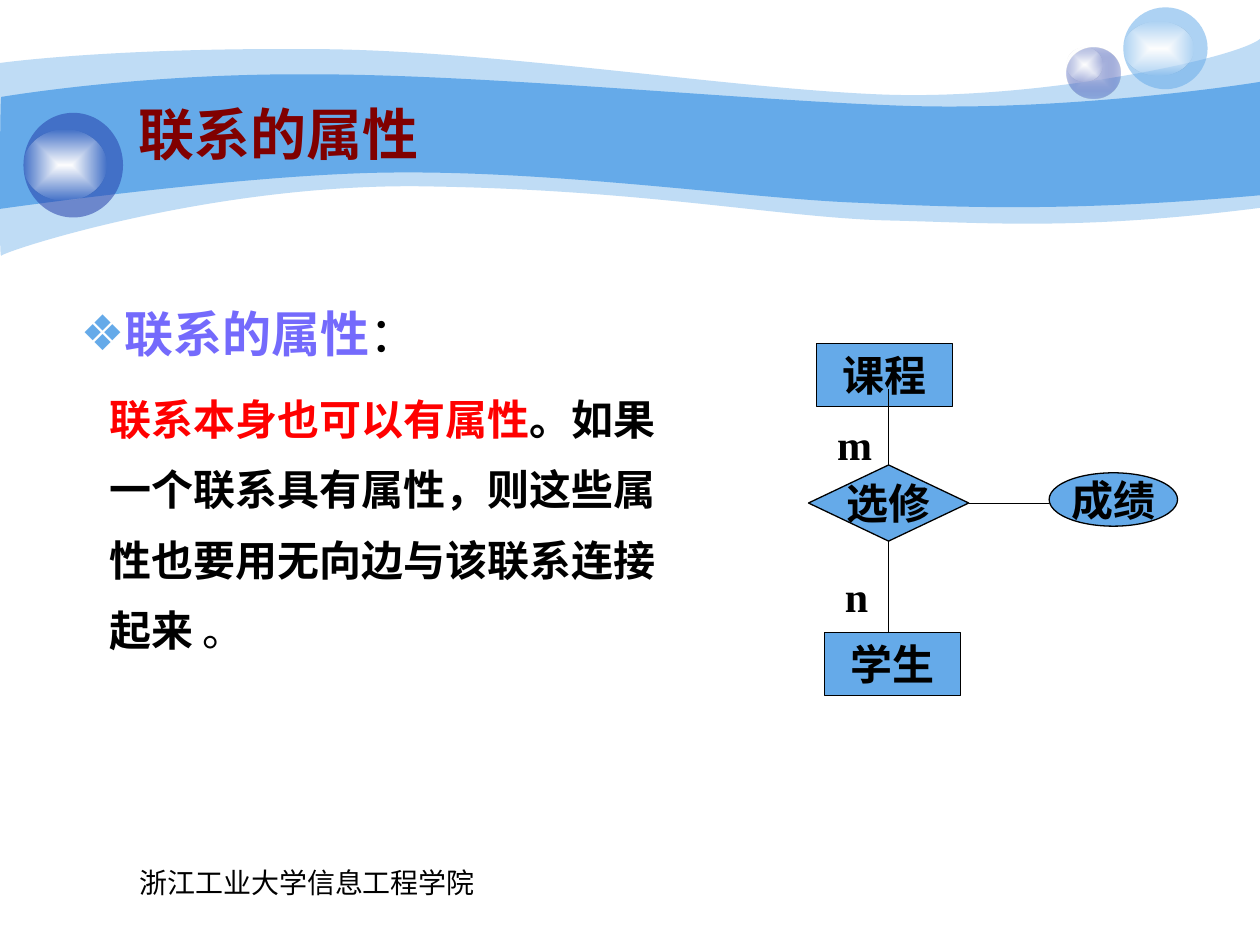
import pptx
import pptx.util
import pptx.dml.color
import pptx.enum.shapes
import pptx.enum.text
import pptx.oxml
import pptx.oxml.ns
import lxml.etree

Pt = pptx.util.Pt
Kind = pptx.enum.shapes.MSO_SHAPE
Align = pptx.enum.text.PP_ALIGN
Anchor = pptx.enum.text.MSO_ANCHOR
qn = pptx.oxml.ns.qn
Rgb = pptx.dml.color.RGBColor.from_string

ink = {"sky": "65AAE9", "navy": "233DA9", "pale": "C7CEE9", "white": "FFFFFF",
       "black": "000000", "wine": "800000", "violet": "746AFC", "red": "FF0000"}


def write(para, text, size, color="black", bold=True, face="Times New Roman"):
    run = para.add_run()
    run.text = text
    run.font.size = Pt(size)
    run.font.bold = bold
    run.font.name = face
    run.font.color.rgb = Rgb(ink[color])


def fade(shape, alpha):
    shape.shadow.inherit = False
    shape.line.fill.background()
    if alpha < 100:
        color = list(shape._element.spPr.iter(qn("a:srgbClr")))[-1]
        lxml.etree.SubElement(color, qn("a:alpha")).set("val", str(alpha * 1000))


deck = pptx.Presentation()
deck.slide_width, deck.slide_height = Pt(720), Pt(540)
slide = deck.slides.add_slide(deck.slide_layouts[1])
shapes = slide.shapes

waves = [
    (41, (0, 36), [
        (17, 33.8, 77, 27.4, 177.8, 28.1), (277.9, 28.1, 414, 50.4, 503.3, 54),
        (591.8, 57.6, 705.6, 33.8, 720, 22.3), (720, 118.8),
        (617.8, 131.8, 566.6, 127.4, 507.6, 126), (447.8, 124.6, 370.8, 108.7, 247, 106.6),
        (123.8, 103.7, 2.9, 143.3, 0.7, 146.2), (-0.7, 149.8, 0, 54, 0, 36)]),
    (100, (0.7, 55.4), [
        (1.4, 55.4, 79.2, 41.8, 178.6, 42.5), (277.9, 42.5, 428.4, 57.6, 517, 60.5),
        (605.5, 63.4, 702.7, 49.7, 720, 46.8), (720, 111.6),
        (614.2, 121, 550.8, 118.8, 491, 115.9), (431.3, 113.8, 321.8, 97.9, 228.2, 98.6),
        (146.2, 98.6, -1.4, 119.5, -0.7, 119.5), (0, 119.5, 0, 55.4, 0.7, 55.4)]),
]
for alpha, start, parts in waves:
    pen = shapes.build_freeform(Pt(start[0]), Pt(start[1]))
    for part in parts:
        spots = [Pt(v) for v in part]
        pen.add_line_segments(list(zip(spots[::2], spots[1::2])), close=False)
    pen.add_line_segments([], close=True)
    wave = pen.convert_to_shape()
    legs = iter(list(wave._element.spPr.iter(qn("a:lnTo"))))
    for part in parts:
        leg = next(legs)
        if len(part) == 6:
            curve = lxml.etree.Element(qn("a:cubicBezTo"))
            leg.addprevious(curve)
            for piece in (leg, next(legs), next(legs)):
                curve.append(piece[0])
                piece.getparent().remove(piece)
    wave.fill.solid()
    wave.fill.fore_color.rgb = Rgb(ink["sky"])
    fade(wave, alpha)

balls = [
    (609.8, 27.4, 30.2, 28.8, ["pale", "navy"], 31),
    (609.8, 27.4, 20.2, 19.4, ["white", "white"], 0),
    (641.9, 4.2, 48.2, 46.8, ["sky"], 53),
    (641.9, 12.2, 40.3, 31, ["white", "white"], 0),
    (13.4, 64.5, 56.9, 59.8, ["navy"], 53),
    (13.4, 74.2, 47.5, 40.3, ["white", "white"], 0),
]
for x, y, w, h, tones, alpha in balls:
    ball = shapes.add_shape(Kind.OVAL, Pt(x), Pt(y), Pt(w), Pt(h))
    if len(tones) == 1:
        ball.fill.solid()
        ball.fill.fore_color.rgb = Rgb(ink[tones[0]])
    else:
        ball.fill.gradient()
        for stop, tone in zip(ball.fill.gradient_stops, tones):
            stop.color.rgb = Rgb(ink[tone])
        lin = ball._element.spPr.find(".//" + qn("a:lin"))
        glow = lxml.etree.Element(qn("a:path"), path="rect")
        lxml.etree.SubElement(glow, qn("a:fillToRect"), l="50000", t="50000",
                              r="50000", b="50000")
        lin.getparent().replace(lin, glow)
    fade(ball, alpha)

nodes = [
    ("课程", Kind.RECTANGLE, 466.6, 196.3, 77.8, 36),
    ("选修", Kind.DIAMOND, 462, 265.7, 91.6, 43.5),
    ("学生", Kind.RECTANGLE, 471.2, 361.4, 77.8, 36),
    ("成绩", Kind.OVAL, 599.5, 270.2, 73.4, 30.5),
]
for text, kind, x, y, w, h in nodes:
    node = shapes.add_shape(kind, Pt(x), Pt(y), Pt(w), Pt(h))
    node.shadow.inherit = False
    node.fill.solid()
    node.fill.fore_color.rgb = Rgb(ink["sky"])
    node.line.color.rgb = Rgb(ink["black"])
    node.line.width = Pt(0.75)
    frame = node.text_frame
    frame.word_wrap = kind == Kind.RECTANGLE
    frame.vertical_anchor = Anchor.MIDDLE
    frame.paragraphs[0].alignment = Align.CENTER
    write(frame.paragraphs[0], text, 24)

edges = [(507.8, 265.7, 507.8, 222.5), (507.8, 309.2, 507.8, 361.4),
         (553.6, 287.6, 599.5, 287.6)]
for ends in edges:
    edge = shapes.add_connector(pptx.enum.shapes.MSO_CONNECTOR.STRAIGHT, *map(Pt, ends))
    edge.line.color.rgb = Rgb(ink["black"])
    edge.line.width = Pt(0.75)
    lxml.etree.SubElement(edge._element.spPr, qn("a:effectLst"))

notes = [("m", 471.2, 235.4, 23, 36, 24, True, Align.LEFT),
         ("n", 475.7, 322.6, 23, 36, 24, True, Align.LEFT),
         ("浙江工业大学信息工程学院", 36.7, 491, 277.9, 37.4, 16, False, Align.CENTER)]
for text, x, y, w, h, size, bold, align in notes:
    frame = shapes.add_textbox(Pt(x), Pt(y), Pt(w), Pt(h)).text_frame
    frame.word_wrap = True
    frame.paragraphs[0].alignment = align
    write(frame.paragraphs[0], text, size, bold=bold)

title, body = shapes.title, slide.placeholders[1]
for holder, box in ((title, (72, 54, 581.8, 44.6)), (body, (19.4, 156.5, 380.2, 255.6))):
    holder.left, holder.top, holder.width, holder.height = map(Pt, box)
    holder.text_frame.auto_size = pptx.enum.text.MSO_AUTO_SIZE.NONE
    holder.text_frame.word_wrap = True
    shapes._spTree.append(holder._element)

title.text_frame.vertical_anchor = Anchor.MIDDLE
head = title.text_frame.paragraphs[0]
head.alignment = Align.LEFT
write(head, "联系的属性", 32, "wine", face="Arial")

lead = body.text_frame.paragraphs[0]
rest = body.text_frame.add_paragraph()
for para, left, hang, space in ((lead, 42.4, -23, 0), (rest, 36, 0, 6)):
    props = para._p.get_or_add_pPr()
    props.set("marL", str(Pt(left)))
    props.set("indent", str(Pt(hang)))
    if para is lead:
        tint = lxml.etree.SubElement(props, qn("a:buClr"))
        lxml.etree.SubElement(tint, qn("a:srgbClr"), val=ink["sky"])
        lxml.etree.SubElement(props, qn("a:buChar"), char="❖")
    else:
        lxml.etree.SubElement(props, qn("a:buNone"))
    para.line_spacing = 1.4
    para.space_before = Pt(space)

write(lead, "联系的属性", 28, "violet")
write(lead, "：", 28, bold=False)
write(rest, "联系本身也可以有属性", 24, "red")
write(rest, "。如果一个联系具有属性，则这些属性也要用无向边与该联系连接起来", 24)
write(rest, " 。", 24, bold=False)

deck.save("out.pptx")
